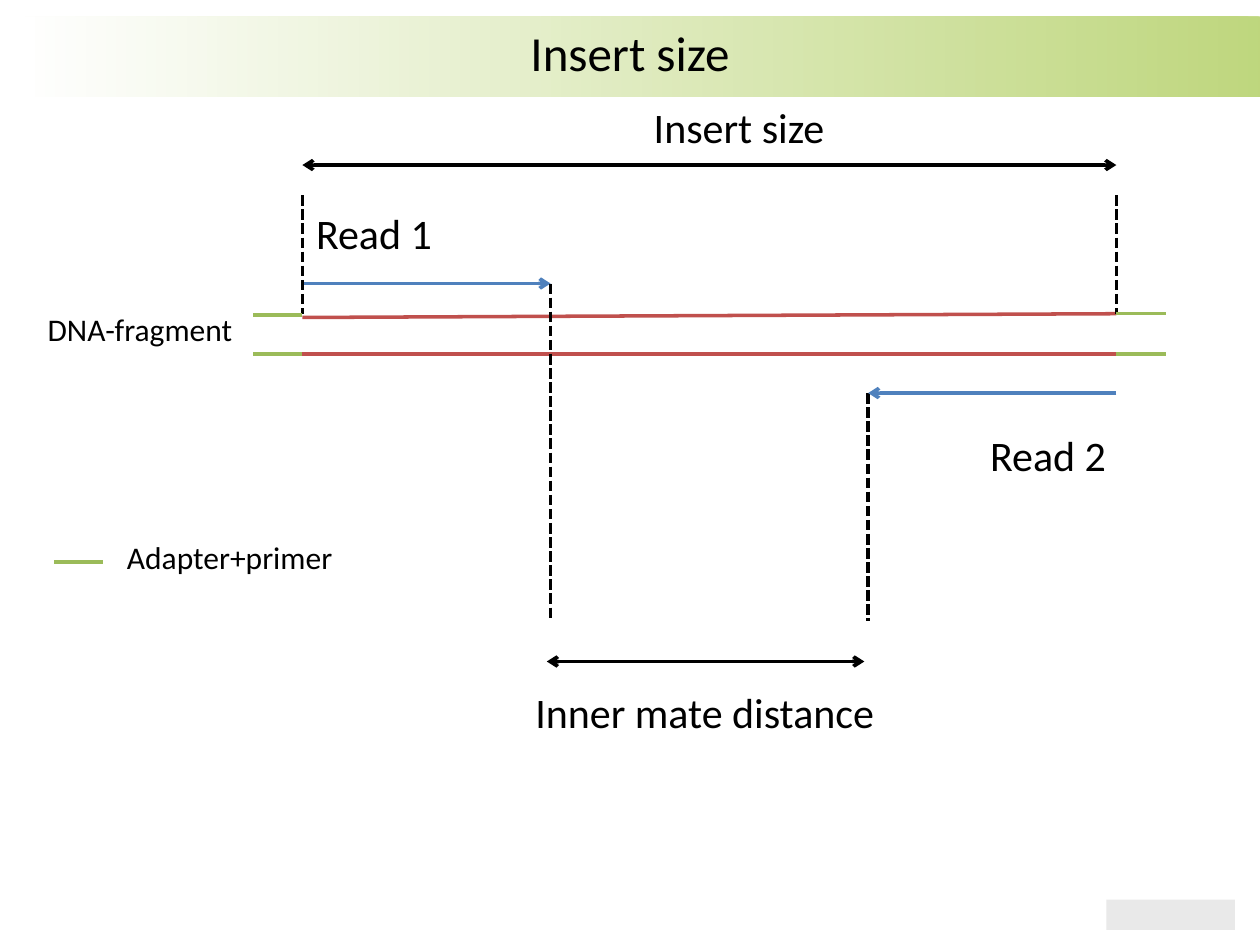
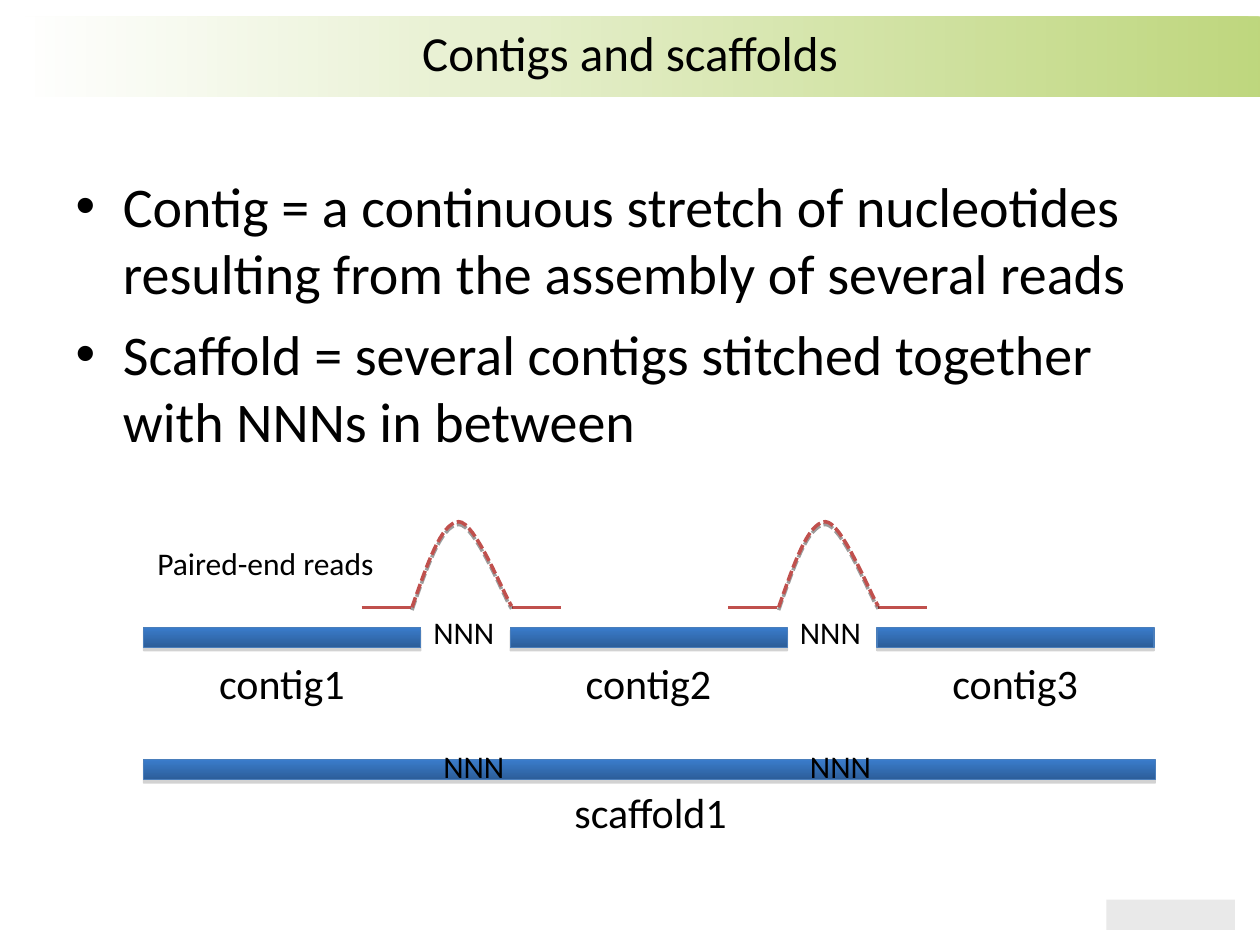
"""Build two slides on insert size, contigs and scaffolds."""
import lxml.etree
import pptx
import pptx.dml.color
import pptx.enum.dml
import pptx.enum.shapes
import pptx.enum.text
import pptx.oxml.ns
import pptx.util

Inches = pptx.util.Inches
Pt = pptx.util.Pt
hue = pptx.dml.color.RGBColor.from_string
qn = pptx.oxml.ns.qn
RECT = pptx.enum.shapes.MSO_SHAPE.RECTANGLE
DASH = pptx.enum.dml.MSO_LINE.SQUARE_DOT
FONT = "Calibri"
BLACK, RED, GREEN, BLUE = "000000", "C0504D", "9BBB59", "4F81BD"


def label(slide, text, left, top, width, size=24):
    """Add a one-line text box."""
    box = slide.shapes.add_textbox(Inches(left), Inches(top), Inches(width),
                                   Inches(0.5 if size == 24 else 0.4))
    frame = box.text_frame
    frame.word_wrap = False
    frame.auto_size = pptx.enum.text.MSO_AUTO_SIZE.SHAPE_TO_FIT_TEXT
    run = frame.paragraphs[0].add_run()
    run.text = text
    run.font.size = Pt(size)
    run.font.name = FONT
    run.font.color.rgb = hue(BLACK)


def draw(slide, x1, y1, x2, y2, color, dash=None, ends=()):
    """Add a straight line with optional dashes and arrowheads."""
    link = slide.shapes.add_connector(
        pptx.enum.shapes.MSO_CONNECTOR.STRAIGHT,
        Inches(x1), Inches(y1), Inches(x2), Inches(y2))
    link.line.color.rgb = hue(color)
    link.line.width = Pt(2)
    if dash:
        link.line.dash_style = dash
    props = link.element.spPr
    for end in ends:
        lxml.etree.SubElement(props.find(qn("a:ln")), qn("a:" + end), type="arrow")
    lxml.etree.SubElement(props, qn("a:effectLst"))


deck = pptx.Presentation()
deck.slide_width, deck.slide_height = Inches(10), Inches(7.5)
sizes = deck.slides.add_slide(deck.slide_layouts[5])
joins = deck.slides.add_slide(deck.slide_layouts[1])

plate = sizes.shapes.add_shape(RECT, Inches(8.78), Inches(7.14), Inches(1.02), Inches(0.24))
plate.fill.solid()
plate.fill.fore_color.rgb = hue("E9E9E9")
band = sizes.shapes.add_shape(RECT, Inches(0.2), Inches(0.13), Inches(9.87), Inches(0.64))
band.fill.gradient()
band.fill.gradient_angle = 180
for stop, color in zip(band.fill.gradient_stops, ("85B30A", "FFFFFF")):
    stop.color.rgb = hue(color)
for tone in band.element.spPr.iter(qn("a:srgbClr")):
    lxml.etree.SubElement(tone, qn("a:alpha"), val="53000")
for spot, part in enumerate((plate, band), 2):
    part.line.fill.background()
    part.shadow.inherit = False
    deck.slide_master.shapes.element.insert(spot, part.element)

for slide, text in ((sizes, "Insert size"), (joins, "Contigs and scaffolds")):
    title = slide.shapes.title
    title.left, title.top = Inches(0.5), Inches(0.13)
    title.width, title.height = Inches(9), Inches(0.63)
    title.text_frame.vertical_anchor = pptx.enum.text.MSO_ANCHOR.TOP
    para = title.text_frame.paragraphs[0]
    para.alignment = pptx.enum.text.PP_ALIGN.CENTER
    run = para.add_run()
    run.text = text
    run.font.size = Pt(28)
    run.font.name = FONT
    run.font.color.rgb = hue(BLACK)

start, stop, inner, outer = 2.4, 8.86, 4.37, 6.89
both = ("headEnd", "tailEnd")
draw(sizes, start, 2.52, stop, 2.49, RED)
draw(sizes, start, 2.81, stop, 2.81, RED)
draw(sizes, start, 2.25, inner, 2.25, BLUE, ends=("tailEnd",))
for x, top, base in ((inner, 2.25, 4.93), (outer, 3.12, 4.93),
                     (start, 1.55, 2.49), (stop, 1.55, 2.49)):
    draw(sizes, x, top, x, base, BLACK, DASH)
draw(sizes, 4.34, 5.25, 6.86, 5.25, BLACK, ends=both)
for x, y in ((2.01, 2.5), (2.01, 2.81), (stop, 2.81), (stop, 2.49), (0.43, 4.46)):
    draw(sizes, x, y, x + 0.39, y, GREEN)
draw(sizes, start, 1.31, stop, 1.31, BLACK, ends=both)
draw(sizes, stop, 3.12, outer, 3.12, BLUE, ends=("tailEnd",))
for item in (("Read 1", 2.41, 1.6, 1.12), ("Read 2", 7.76, 3.36, 1.12),
             ("DNA-fragment", 0.28, 2.41, 1.67, 18),
             ("Inner mate distance", 4.15, 5.4, 2.9),
             ("Adapter+primer", 0.91, 4.22, 1.83, 18),
             ("Insert size", 5.09, 0.76, 1.56)):
    label(sizes, *item)

body = joins.placeholders[1]
body.left, body.top = Inches(0.5), Inches(1.31)
body.width, body.height = Inches(9), Inches(2.36)
frame = body.text_frame
frame.auto_size = pptx.enum.text.MSO_AUTO_SIZE.NONE
for i, text in enumerate((
        "Contig = a continuous stretch of nucleotides resulting from the assembly of several reads",
        "Scaffold = several contigs stitched together with NNNs in between")):
    para = frame.add_paragraph() if i else frame.paragraphs[0]
    para.space_before = Pt(8 * i)
    run = para.add_run()
    run.text = text
    run.font.size = Pt(32)
    run.font.name = FONT
    run.font.color.rgb = hue(BLACK)

pitch = 2.91
shades = []
bars = [(1.14 + i * pitch, 4.98, 2.2) for i in range(3)] + [(1.14, 6.03, 8.03)]
for left, top, width in bars:
    bar = joins.shapes.add_shape(RECT, Inches(left), Inches(top), Inches(width), Inches(0.16))
    bar.fill.gradient()
    bar.fill.gradient_angle = 270
    for stop, color in zip(bar.fill.gradient_stops, ("3A7CCB", "2C5D98")):
        stop.color.rgb = hue(color)
    bar.line.color.rgb = hue("4A7EBB")
    bar.line.width = Pt(0.75)
    shades.append((bar, "808080", 35, 1.8))

curves = (((0, 4.82), (0.12, 4.48), (0.23, 4.15), (0.37, 4.14)),
          ((0.37, 4.14), (0.5, 4.14), (0.72, 4.7), (0.79, 4.81)))
steps = 16
for i in range(2):
    shift = i * pitch
    left = 3.27 + shift
    for x in (2.87, 4.06):
        draw(joins, x + shift, 4.82, x + shift + 0.39, 4.82, RED)
    dots = []
    for curve in curves:
        for step in range(1, steps + 1):
            t = step / steps
            parts = ((1 - t) ** 3, 3 * t * (1 - t) ** 2, 3 * t * t * (1 - t), t ** 3)
            x, y = (sum(p * q for p, q in zip(parts, axis)) for axis in zip(*curve))
            dots.append((Inches(left + x), Inches(y)))
    trace = joins.shapes.build_freeform(Inches(left), Inches(4.82))
    trace.add_line_segments(dots, close=False)
    arc = trace.convert_to_shape()
    arc.fill.background()
    arc.line.color.rgb = hue(RED)
    arc.line.width = Pt(2)
    arc.line.dash_style = DASH
    shades.append((arc, "000000", 38, 1.6))
    for x, y in ((3.34, 4.82), (3.42, 5.88)):
        label(joins, "NNN", x + shift, y, 0.72, 18)

for shape, color, alpha, gap in shades:
    shape.shadow.inherit = False
    effect = shape.element.spPr.find(qn("a:effectLst"))
    cast = lxml.etree.SubElement(effect, qn("a:outerShdw"), blurRad="0",
                                 dist=str(Pt(gap)), dir="5400000", rotWithShape="0")
    tone = lxml.etree.SubElement(cast, qn("a:srgbClr"), val=color)
    lxml.etree.SubElement(tone, qn("a:alpha"), val=str(alpha * 1000))

for i in range(3):
    label(joins, f"contig{i + 1}", 1.64 + i * pitch, 5.17, 1.2)
label(joins, "Paired-end reads", 1.15, 4.27, 1.93, 18)
label(joins, "scaffold1", 4.46, 6.19, 1.42)

deck.save("out.pptx")
